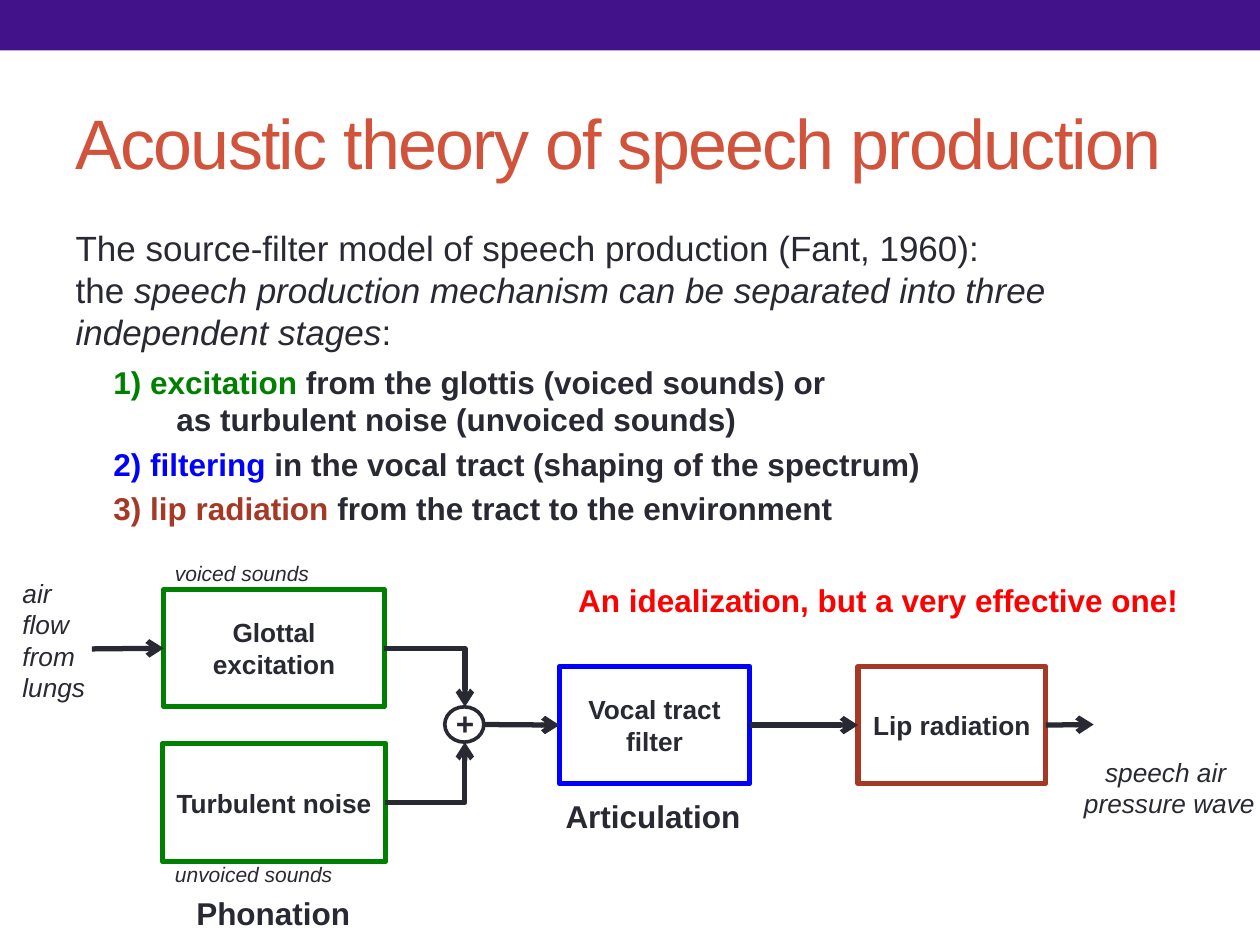
from lxml import etree
from pptx import Presentation
from pptx.dml.color import RGBColor
from pptx.enum import shapes, text
from pptx.oxml.ns import qn
from pptx.util import Inches, Pt

PURPLE = RGBColor(0x41, 0x12, 0x89)
ORANGE = RGBColor(0xD2, 0x53, 0x3C)
DARK = RGBColor(0x29, 0x29, 0x34)
GREEN = RGBColor(0x00, 0x80, 0x00)
BLUE = RGBColor(0x00, 0x00, 0xFF)
BROWN = RGBColor(0xA5, 0x39, 0x26)
RED = RGBColor(0xFF, 0x00, 0x00)
WHITE = RGBColor(0xFF, 0xFF, 0xFF)
LEFT, CENTER = text.PP_ALIGN.LEFT, text.PP_ALIGN.CENTER


def style_run(r, size, color=DARK, bold=False, italic=False):
    r.font.name, r.font.size = "Arial", Pt(size)
    r.font.bold, r.font.italic = bold, italic
    r.font.color.rgb = color


def add_shape(kind, box, fill=None, line=None, width=3):
    sp = s.shapes.add_shape(kind, *map(Inches, box))
    sp.shadow.inherit = False
    if fill is None:
        sp.fill.background()
    else:
        sp.fill.solid()
        sp.fill.fore_color.rgb = fill
    if line is None:
        sp.line.fill.background()
    else:
        sp.line.color.rgb, sp.line.width = line, Pt(width)
    return sp


prs = Presentation()
prs.slide_width, prs.slide_height = Inches(10), Inches(7.5)
s = prs.slides.add_slide(prs.slide_layouts[1])
title, body = s.placeholders

# Top band
add_shape(shapes.MSO_SHAPE.RECTANGLE, (0, 0, 10, 0.4), fill=PURPLE)

# Title
title.left, title.top, title.width, title.height = map(Inches, (0.5, 0.58, 9, 1.08))
tf = title.text_frame
tf.text = "Acoustic theory of speech production"
tf.auto_size = text.MSO_AUTO_SIZE.NONE
tf.vertical_anchor = text.MSO_ANCHOR.MIDDLE
tf.paragraphs[0].alignment = LEFT
r = tf.paragraphs[0].runs[0]
style_run(r, 40, ORANGE)
r.font._element.set("spc", "-100")

# Body: each paragraph is a level and its runs (text, colour, bold, italic)
body.left, body.top, body.width, body.height = map(Inches, (0.5, 1.75, 9, 5.33))
paragraphs = [
    (0, [("The source-filter model of speech production (Fant, 1960): \nthe ", DARK, False, False),
         ("speech production mechanism can be separated into three independent stages",
          DARK, False, True),
         (":", DARK, False, False)]),
    (1, [("1) excitation ", GREEN, True, False),
         ("from the glottis (voiced sounds) or \n\tas turbulent noise (unvoiced sounds)",
          DARK, True, False)]),
    (1, [("2) filtering ", BLUE, True, False),
         ("in the vocal tract (shaping of the spectrum)", DARK, True, False)]),
    (1, [("3) lip radiation ", BROWN, True, False),
         ("from the tract to the environment", DARK, True, False)]),
]
tf = body.text_frame
tf.auto_size = text.MSO_AUTO_SIZE.NONE
for i, (level, runs) in enumerate(paragraphs):
    p = tf.add_paragraph() if i else tf.paragraphs[0]
    p.level = level
    if i == 0:
        p.space_before = Pt(0)
    pPr = p._p.get_or_add_pPr()
    pPr.set("marL", str(Inches(0.3 * level)))
    pPr.set("indent", "0")
    etree.SubElement(pPr, qn("a:buNone"))
    if level:
        tabs = etree.SubElement(pPr, qn("a:tabLst"))
        etree.SubElement(tabs, qn("a:tab"), pos=str(Inches(1)), algn="l")
    for words, color, bold, italic in runs:
        for j, part in enumerate(words.split("\n")):
            if j:
                p.add_line_break()
            r = p.add_run()
            r.text = part
            style_run(r, 18 if level else 20, color, bold, italic)

# Stage boxes
stages = {}
for name, box, color in [
    ("Glottal excitation", (1.3, 4.68, 1.75, 0.93), GREEN),
    ("Turbulent noise", (1.29, 5.9, 1.77, 0.94), GREEN),
    ("Vocal tract filter", (4.44, 5.29, 1.51, 0.93), BLUE),
    ("Lip radiation", (6.81, 5.29, 1.49, 0.93), BROWN),
]:
    sp = stages[name] = add_shape(shapes.MSO_SHAPE.RECTANGLE, box, line=color)
    tf = sp.text_frame
    tf.text = name
    tf.word_wrap = True
    tf.vertical_anchor = text.MSO_ANCHOR.MIDDLE
    tf.paragraphs[0].alignment = CENTER
    style_run(tf.paragraphs[0].runs[0], 15, bold=True)
glottal, noise, tract, lips = stages.values()

# Summing node
add_shape(shapes.MSO_SHAPE.OVAL, (3.53, 5.61, 0.31, 0.28), WHITE, DARK, 2.08)

# Arrows: kind, start, end, box at the start, box at the end
STRAIGHT, ELBOW = shapes.MSO_CONNECTOR.STRAIGHT, shapes.MSO_CONNECTOR.ELBOW
for kind, start, end, source, target in [
    (STRAIGHT, (0.73, 5.15), (1.3, 5.15), None, glottal),
    (ELBOW, (3.05, 5.15), (3.69, 5.61), glottal, None),
    (ELBOW, (3.06, 6.36), (3.69, 5.89), noise, None),
    (STRAIGHT, (3.83, 5.75), (4.44, 5.75), None, tract),
    (STRAIGHT, (5.95, 5.75), (6.81, 5.75), tract, lips),
    (STRAIGHT, (8.3, 5.75), (8.68, 5.75), lips, None),
]:
    arrow = s.shapes.add_connector(kind, *map(Inches, start + end))
    if source is not None:
        arrow.begin_connect(source, 3)
    if target is not None:
        arrow.end_connect(target, 1)
    arrow.line.color.rgb, arrow.line.width = DARK, Pt(3)
    spPr = arrow._element.spPr
    if kind == ELBOW:
        spPr.find(qn("a:prstGeom")).set("prst", "bentConnector2")
    etree.SubElement(spPr.find(qn("a:ln")), qn("a:tailEnd"), type="arrow")
    etree.SubElement(spPr, qn("a:effectLst"))

# Labels: text, box, size, colour, bold, italic, alignment
for words, box, size, color, bold, italic, align in [
    ("An idealization, but a very effective one!", (4.49, 4.56, 5.01, 0.4),
     18, RED, True, False, LEFT),
    ("+", (3.52, 5.54, 0.35, 0.4), 18, DARK, True, False, LEFT),
    ("speech air \vpressure wave", (8.47, 5.95, 1.62, 0.61), 15, DARK, False, True, CENTER),
    ("air \vflow\nfrom\nlungs", (0.08, 4.53, 0.76, 1.11), 15, DARK, False, True, LEFT),
    ("voiced sounds", (1.29, 4.4, 1.32, 0.3), 12, DARK, False, True, LEFT),
    ("unvoiced sounds", (1.29, 6.79, 1.51, 0.3), 12, DARK, False, True, LEFT),
    ("Phonation", (1.46, 7.05, 1.44, 0.4), 18, DARK, True, False, LEFT),
    ("Articulation", (4.39, 6.28, 1.6, 0.4), 18, DARK, True, False, LEFT),
]:
    tf = s.shapes.add_textbox(*map(Inches, box)).text_frame
    tf.word_wrap = False
    tf.auto_size = text.MSO_AUTO_SIZE.SHAPE_TO_FIT_TEXT
    tf.text = words
    for p in tf.paragraphs:
        p.alignment = align
        for r in p.runs:
            style_run(r, size, color, bold, italic)

prs.save("out.pptx")
